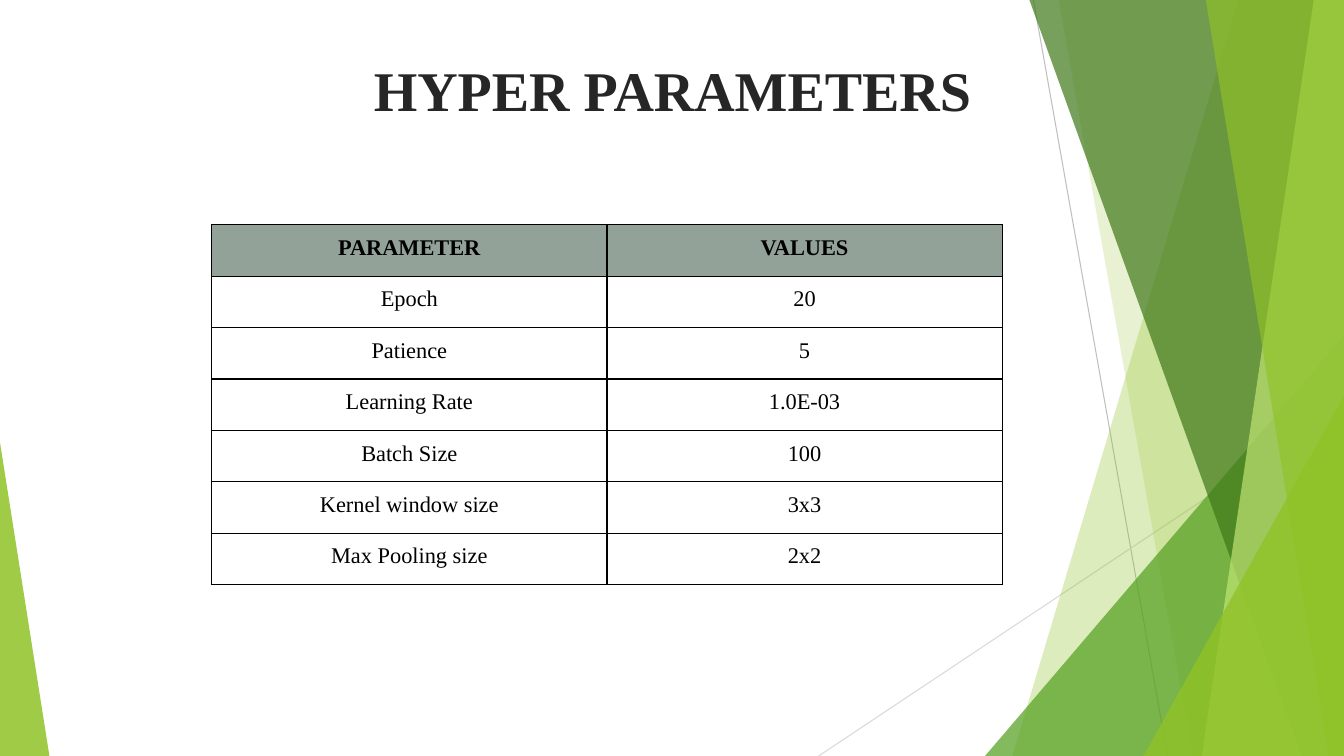
from lxml.etree import SubElement
from pptx import Presentation
from pptx.dml.color import RGBColor
from pptx.enum.shapes import MSO_CONNECTOR
from pptx.enum.text import MSO_ANCHOR, MSO_AUTO_SIZE, PP_ALIGN
from pptx.oxml.ns import qn
from pptx.util import Pt

PX = 9144
W, H = 1333, 750
BLACK = RGBColor(0x00, 0x00, 0x00)
CHARCOAL = RGBColor(0x26, 0x26, 0x26)
SAGE = RGBColor(0x93, 0xA2, 0x99)
SILVER = RGBColor(0xBF, 0xBF, 0xBF)
PALE_GRAY = RGBColor(0xD9, 0xD9, 0xD9)
LIME = RGBColor(0x90, 0xC2, 0x26)
GREEN = RGBColor(0x54, 0xA0, 0x21)
FOREST = RGBColor(0x3F, 0x78, 0x19)
LIGHT_LIME = RGBColor(0xC0, 0xE4, 0x74)


def write(tf, text, size, color, bold=False, spacing=1.0):
    p = tf.paragraphs[0]
    p.alignment = PP_ALIGN.CENTER
    p.line_spacing = spacing
    p.space_before = Pt(0)
    r = p.add_run()
    r.text = text
    r.font.name = "Times New Roman"
    r.font.size = Pt(size)
    r.font.bold = bold
    r.font.color.rgb = color


prs = Presentation()
prs.slide_width = W * PX
prs.slide_height = H * PX
s = prs.slides.add_slide(prs.slide_layouts[5])

lines = [
    (1025, 0, 1158, H, SILVER),
    (W, 403, 812, H, PALE_GRAY),
]
for x1, y1, x2, y2, color in lines:
    line = s.shapes.add_connector(
        MSO_CONNECTOR.STRAIGHT, x1 * PX, y1 * PX, x2 * PX, y2 * PX)
    line.line.color.rgb = color
    line.line.width = Pt(0.75)
    SubElement(line._element.spPr, qn("a:effectLst"))

facets = [
    ([(1228, 0), (W, 0), (W, H), (1004, H)], LIME, 30),
    ([(1050, 0), (W, 0), (W, H), (1183, H)], LIME, 20),
    ([(977, H), (W, 333), (W, H)], GREEN, 72),
    ([(1021, 0), (W, 0), (W, H), (1291, H)], FOREST, 70),
    ([(1303, 0), (W, 0), (W, H), (1192, H)], LIGHT_LIME, 70),
    ([(1196, 0), (W, 0), (W, H), (1318, H)], LIME, 65),
    ([(1134, H), (W, 393), (W, H)], LIME, 80),
    ([(0, H), (0, 439), (49, H)], LIME, 85),
]
for points, color, opacity in facets:
    builder = s.shapes.build_freeform(*points[0], scale=PX)
    builder.add_line_segments(points[1:], close=True)
    sp = builder.convert_to_shape()
    sp.shadow.inherit = False
    sp.line.fill.background()
    sp.fill.solid()
    sp.fill.fore_color.rgb = color
    rgb = sp._element.spPr.find(".//" + qn("a:srgbClr"))
    SubElement(rgb, qn("a:alpha"), val=str(opacity * 1000))

title = s.shapes.title
s.shapes._spTree.append(title._element)
title.left, title.top, title.width, title.height = 67 * PX, 10 * PX, 1200 * PX, 165 * PX
tf = title.text_frame
tf.word_wrap = True
tf.auto_size = MSO_AUTO_SIZE.NONE
tf.vertical_anchor = MSO_ANCHOR.MIDDLE
tf.margin_left = tf.margin_right = tf.margin_top = tf.margin_bottom = 5 * PX
write(tf, "HYPER PARAMETERS", size=40, color=CHARCOAL, bold=True, spacing=0.9)

rows = [
    ("PARAMETER", "VALUES"),
    ("Epoch", "20"),
    ("Patience", "5"),
    ("Learning Rate", "1.0E-03"),
    ("Batch Size", "100"),
    ("Kernel window size", "3x3"),
    ("Max Pooling size", "2x2"),
]
ROW_H, COL_W = 51, 392
table = s.shapes.add_table(
    len(rows), 2, 210 * PX, 223 * PX, 2 * COL_W * PX, len(rows) * ROW_H * PX).table
table.first_row = False
table.horz_banding = False
for i, row in enumerate(rows):
    table.rows[i].height = ROW_H * PX
    for j, text in enumerate(row):
        cell = table.cell(i, j)
        cell.margin_left = cell.margin_right = cell.margin_top = cell.margin_bottom = 7 * PX
        cell.vertical_anchor = MSO_ANCHOR.TOP
        tcPr = cell._tc.get_or_add_tcPr()
        for side in ("lnL", "lnR", "lnT", "lnB"):
            ln = SubElement(tcPr, qn("a:" + side), w=str(Pt(1)))
            fill = SubElement(ln, qn("a:solidFill"))
            SubElement(fill, qn("a:srgbClr"), val=str(BLACK))
        if i == 0:
            cell.fill.solid()
            cell.fill.fore_color.rgb = SAGE
        else:
            cell.fill.background()
        write(cell.text_frame, text, size=16, color=BLACK, bold=i == 0, spacing=1.15)

prs.save("out.pptx")
